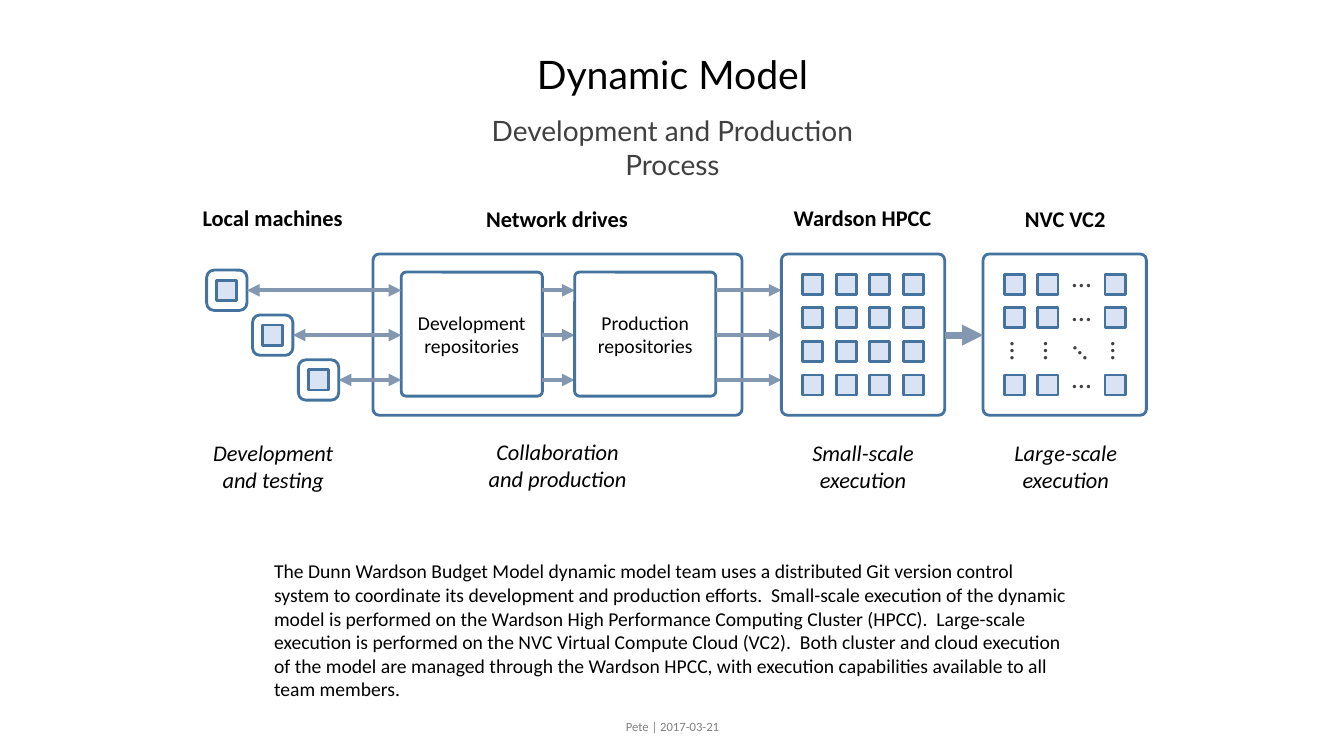
"""Build the development and production process slide."""
import dataclasses
import math

import lxml.etree
import pptx
import pptx.dml.color
import pptx.enum.shapes
import pptx.enum.text
import pptx.oxml.ns
import pptx.util

Inches = pptx.util.Inches
ALIGN = pptx.enum.text.PP_ALIGN
ANCHOR = pptx.enum.text.MSO_ANCHOR
SHAPE = pptx.enum.shapes.MSO_SHAPE


@dataclasses.dataclass(frozen=True)
class Theme:
    """Colours, fonts and sizes used on the slide."""
    ink: str = "000000"
    soft_ink: str = "404040"
    footer_ink: str = "808080"
    outline: str = "43739E"
    core: str = "DAE3F3"
    arrow: str = "8497B0"
    heading_font: str = "Lato"
    body_font: str = "Calibri"
    title_size: int = 28
    subtitle_size: int = 20
    label_size: int = 16
    body_size: int = 14
    footer_size: int = 9
    outline_width: int = 2
    arrow_width: int = 3
    wide_arrow_width: int = 5


THEME = Theme()
CELL = 0.2
CELL_PITCH = 1 / 3
MACHINE = 0.4
MACHINE_STEP = 0.91 / 2
LANE_STEP = 0.89 / 2
LANES = [2.88 + LANE_STEP * row for row in range(3)]
MACHINES_BOX = (2.05, 2.68, 1.31, 1.29)
DRIVES_BOX = (3.7, 2.52, 3.66, 1.6)
CLUSTER_BOX = (7.75, 2.52, 1.62, 1.6)
CLOUD_BOX = (9.75, 2.52, 1.62, 1.6)
REPOSITORY_WIDTH = 1.4
REPOSITORY_LEFTS = (3.98, 5.7)
SUMMARY = (
    "The Dunn Wardson Budget Model dynamic model team uses a distributed Git version control "
    "system to coordinate its development and production efforts.  Small-scale execution of the "
    "dynamic model is performed on the Wardson High Performance Computing Cluster (HPCC).  "
    "Large-scale execution is performed on the NVC Virtual Compute Cloud (VC2).  Both cluster and "
    "cloud execution of the model are managed through the Wardson HPCC, with execution "
    "capabilities available to all team members."
)


def rgb(value):
    """Return a colour from its hexadecimal form."""
    return pptx.dml.color.RGBColor.from_string(value)


def write(shape, text, size, color=THEME.ink, font=THEME.body_font, align=ALIGN.CENTER,
          anchor=ANCHOR.TOP, bold=False, italic=False):
    """Write one formatted run into a shape."""
    frame = shape.text_frame
    frame.word_wrap = True
    frame.auto_size = pptx.enum.text.MSO_AUTO_SIZE.NONE
    frame.vertical_anchor = anchor
    paragraph = frame.paragraphs[0]
    paragraph.alignment = align
    run = paragraph.add_run()
    run.text = text
    run.font.name = font
    run.font.size = pptx.util.Pt(size)
    run.font.bold = bold
    run.font.italic = italic
    run.font.color.rgb = rgb(color)


def add_text(shapes, box, text, size, **style):
    """Add a text box and return it."""
    text_box = shapes.add_textbox(*map(Inches, box))
    write(text_box, text, size, **style)
    return text_box


def add_outline(shapes, box, radius=0.038, kind=SHAPE.ROUNDED_RECTANGLE):
    """Add an unfilled outlined shape and return it."""
    shape = shapes.add_shape(kind, *map(Inches, box))
    shape.shadow.inherit = False
    shape.fill.background()
    shape.line.color.rgb = rgb(THEME.outline)
    shape.line.width = pptx.util.Pt(THEME.outline_width)
    if kind == SHAPE.ROUNDED_RECTANGLE:
        shape.adjustments[0] = radius
    return shape


def add_cell(shapes, left, top):
    """Add one processor square."""
    cell = add_outline(shapes, (left, top, CELL, CELL), kind=SHAPE.RECTANGLE)
    cell.fill.solid()
    cell.fill.fore_color.rgb = rgb(THEME.core)


def add_arrow(shapes, start, end, y, width=THEME.arrow_width, both_ways=False):
    """Add a horizontal arrow."""
    arrow = shapes.add_connector(pptx.enum.shapes.MSO_CONNECTOR.STRAIGHT,
                                 Inches(start), Inches(y), Inches(end), Inches(y))
    arrow.line.color.rgb = rgb(THEME.arrow)
    arrow.line.width = pptx.util.Pt(width)
    line = arrow.line._get_or_add_ln()
    for tag in ("a:headEnd", "a:tailEnd") if both_ways else ("a:tailEnd",):
        lxml.etree.SubElement(line, pptx.oxml.ns.qn(tag), type="triangle")
    lxml.etree.SubElement(arrow._element.spPr, pptx.oxml.ns.qn("a:effectLst"))


def add_ellipsis(shapes, center_x, center_y, angle):
    """Add rotated dots whose ink is centred on a grid position."""
    width, height, lift = 0.37, 0.44, 0.07
    turn = math.radians(angle)
    left = center_x + lift * math.sin(turn) - width / 2
    top = center_y - lift * math.cos(turn) - height / 2
    dots = add_text(shapes, (left, top, width, height), "…", THEME.subtitle_size,
                    color=THEME.soft_ink)
    dots.text_frame.margin_left = dots.text_frame.margin_right = 0
    dots.rotation = angle


def add_processor_panel(shapes, box, skipped=None):
    """Add a four by four processor grid with dots in the skipped row and column."""
    skipped_row, skipped_column = skipped or (None, None)
    add_outline(shapes, box)
    for row in range(4):
        for column in range(4):
            left = box[0] + 0.21 + column * CELL_PITCH
            top = box[1] + 0.2 + row * CELL_PITCH
            angle = {(True, True): 45, (True, False): 90, (False, True): 0}.get(
                (row == skipped_row, column == skipped_column))
            if angle is None:
                add_cell(shapes, left, top)
            else:
                add_ellipsis(shapes, left + CELL / 2, top + CELL / 2, angle)


def add_local_machines(shapes, box):
    """Add the staircase of machines with arrows to the development repositories."""
    inset = (MACHINE - CELL) / 2
    for row, lane in enumerate(LANES):
        left, top = box[0] + row * MACHINE_STEP, box[1] + row * LANE_STEP
        add_cell(shapes, left + inset, top + inset)
        add_outline(shapes, (left, top, MACHINE, MACHINE), radius=0.185)
        add_arrow(shapes, left + MACHINE, REPOSITORY_LEFTS[0], lane, both_ways=True)


def add_network_drives(shapes, box):
    """Add both repositories with arrows leading on to the cluster."""
    add_outline(shapes, box)
    targets = (REPOSITORY_LEFTS[1], CLUSTER_BOX[0])
    names = ("Development repositories", "Production repositories")
    for left, target, name in zip(REPOSITORY_LEFTS, targets, names):
        repository = add_outline(shapes, (left, box[1] + 0.18, REPOSITORY_WIDTH, 1.23))
        write(repository, name, THEME.body_size, anchor=ANCHOR.MIDDLE)
        for lane in LANES:
            add_arrow(shapes, left + REPOSITORY_WIDTH, target, lane)


def add_stage_labels(shapes, box):
    """Add a heading above and a caption below each stage, relative to the box."""
    stages = (
        (0.89, 0, "Local machines", 2.33, 1.51, "Development and testing"),
        (3.71, 0.01, "Network drives", 2.32, 1.66, "Collaboration and production"),
        (6.74, 0, "Wardson HPCC", 2.33, 1.27, "Small-scale execution"),
        (8.75, 0.01, "NVC VC2", 2.33, 1.27, "Large-scale execution"),
    )
    for offset, heading_top, heading, caption_top, caption_width, caption in stages:
        center = box[0] + offset
        add_text(shapes, (center - 0.89, box[1] + heading_top, 1.77, 0.37), heading,
                 THEME.label_size, bold=True)
        add_text(shapes, (center - caption_width / 2, box[1] + caption_top, caption_width, 0.64),
                 caption, THEME.label_size, italic=True)


def add_process_slide(presentation):
    """Add the slide with its title, process diagram, summary and footer."""
    slide = presentation.slides.add_slide(presentation.slide_layouts[5])
    title = slide.shapes.title
    title.left, title.top, title.width, title.height = map(Inches, (5.17, 0.45, 3, 0.57))
    write(title, "Dynamic Model", THEME.title_size, font=THEME.heading_font)
    add_text(slide.shapes, (4.29, 1.08, 4.76, 0.44), "Development and Production Process",
             THEME.subtitle_size, color=THEME.soft_ink, font=THEME.heading_font)
    diagram = slide.shapes.add_group_shape().shapes
    add_network_drives(diagram, DRIVES_BOX)
    add_local_machines(diagram, MACHINES_BOX)
    add_processor_panel(diagram, CLUSTER_BOX)
    add_processor_panel(diagram, CLOUD_BOX, skipped=(2, 2))
    add_arrow(diagram, CLUSTER_BOX[0] + CLUSTER_BOX[2], CLOUD_BOX[0], LANES[1],
              width=THEME.wide_arrow_width)
    add_stage_labels(diagram, (1.82, 1.98, 9.63, 2.97))
    add_text(slide.shapes, (2.62, 5.5, 8.1, 1.28), SUMMARY, THEME.body_size, align=ALIGN.LEFT)
    add_text(slide.shapes, (6.07, 7.08, 1.2, 0.25), "Pete | 2017-03-21", THEME.footer_size,
             color=THEME.footer_ink)


presentation = pptx.Presentation()
presentation.slide_width, presentation.slide_height = Inches(13.33), Inches(7.5)
add_process_slide(presentation)
presentation.save("out.pptx")
